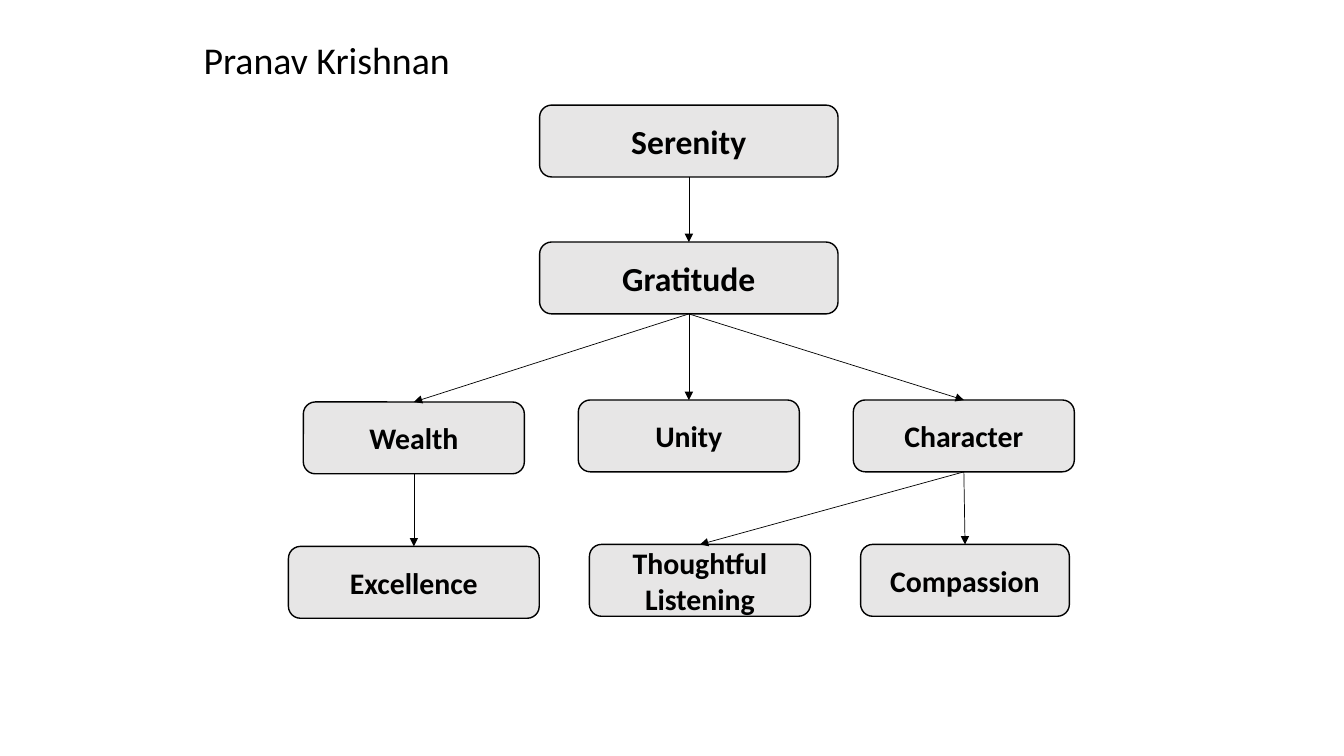
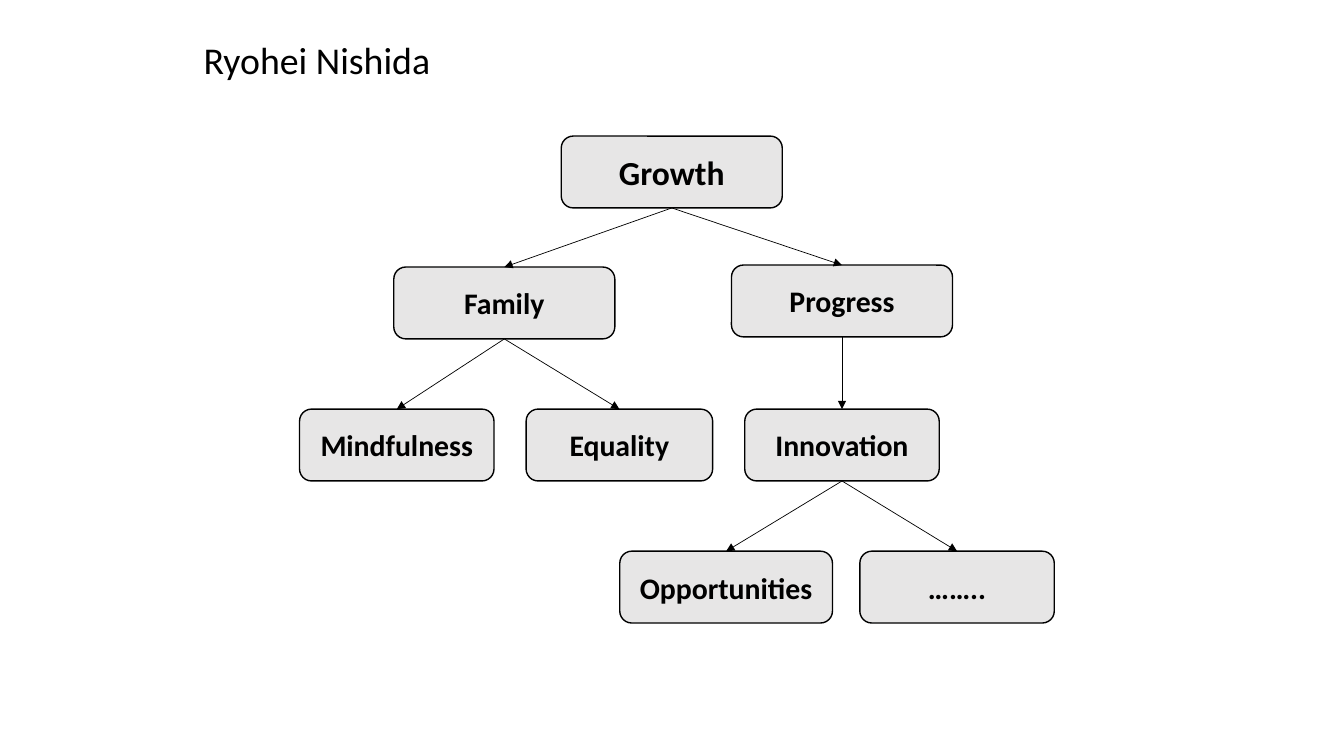
from dataclasses import dataclass

import pptx
import pptx.dml.color
import pptx.enum.shapes
import pptx.enum.text
import pptx.oxml
import pptx.oxml.ns
import pptx.util

Cm = pptx.util.Cm
Pt = pptx.util.Pt

BLACK = pptx.dml.color.RGBColor(0x00, 0x00, 0x00)
GREY = pptx.dml.color.RGBColor(0xE7, 0xE6, 0xE6)
FONT = "Calibri"

TITLE_SIZE = 27
MAIN_SIZE = 24
VALUE_SIZE = 21.3

BOX_HEIGHT = 1.81
BOX_WIDTH = 5.57
MAIN_WIDTH = 7.52
TOP_SITE, BOTTOM_SITE = 0, 2


@dataclass
class Value:
    """A box in a value tree; lengths in centimetres."""
    text: str
    center: float
    top: float
    width: float = BOX_WIDTH
    size: float = VALUE_SIZE
    parent: str = ""


PRANAV_VALUES = [
    Value("Serenity", 17.36, 2.65, MAIN_WIDTH, MAIN_SIZE),
    Value("Gratitude", 17.36, 6.10, MAIN_WIDTH, MAIN_SIZE, "Serenity"),
    Value("Wealth", 10.43, 10.13, parent="Gratitude"),
    Value("Unity", 17.36, 10.08, parent="Gratitude"),
    Value("Character", 24.29, 10.08, parent="Gratitude"),
    Value("Excellence", 10.43, 13.77, 6.32, parent="Wealth"),
    Value("Thoughtful Listening", 17.64, 13.72, parent="Character"),
    Value("Compassion", 24.32, 13.72, 5.26, parent="Character"),
]

RYOHEI_VALUES = [
    Value("Growth", 16.93, 3.43, size=MAIN_SIZE),
    Value("Family", 12.71, 6.73, parent="Growth"),
    Value("Progress", 21.22, 6.68, parent="Growth"),
    Value("Mindfulness", 10.0, 10.31, 4.9, parent="Family"),
    Value("Equality", 15.61, 10.31, 4.7, parent="Family"),
    Value("Innovation", 21.22, 10.31, 4.9, parent="Progress"),
    Value("Opportunities", 18.3, 13.89, 5.36, parent="Innovation"),
    Value("……..", 24.12, 13.89, 4.9, parent="Innovation"),
]


def write_text(shape, text, size, bold=False,
               alignment=pptx.enum.text.PP_ALIGN.LEFT):
    frame = shape.text_frame
    frame.word_wrap = True
    frame.vertical_anchor = pptx.enum.text.MSO_ANCHOR.MIDDLE
    paragraph = frame.paragraphs[0]
    paragraph.alignment = alignment
    run = paragraph.add_run()
    run.text = text
    run.font.name = FONT
    run.font.size = Pt(size)
    run.font.bold = bold
    run.font.color.rgb = BLACK


def add_title(slide, text):
    box = slide.shapes.add_textbox(Cm(4.88), Cm(0.81), Cm(19.96), Cm(1.35))
    write_text(box, text, TITLE_SIZE)


def add_value_box(slide, value):
    shape = slide.shapes.add_shape(
        pptx.enum.shapes.MSO_SHAPE.ROUNDED_RECTANGLE,
        Cm(value.center - value.width / 2), Cm(value.top),
        Cm(value.width), Cm(BOX_HEIGHT))
    shape.shadow.inherit = False
    shape.fill.solid()
    shape.fill.fore_color.rgb = GREY
    shape.line.color.rgb = BLACK
    shape.line.width = Pt(1)
    write_text(shape, value.text, value.size, True,
               pptx.enum.text.PP_ALIGN.CENTER)
    return shape


def add_arrow(slide, parent_box, child_box):
    """Join the bottom of one box to the top of another."""
    arrow = slide.shapes.add_connector(
        pptx.enum.shapes.MSO_CONNECTOR.STRAIGHT, 0, 0, 0, 0)
    arrow.begin_connect(parent_box, BOTTOM_SITE)
    arrow.end_connect(child_box, TOP_SITE)
    arrow.line.color.rgb = BLACK
    arrow.line.width = Pt(0.5)
    tail = pptx.oxml.parse_xml(
        f'<a:tailEnd {pptx.oxml.ns.nsdecls("a")} type="triangle"/>')
    arrow.line._get_or_add_ln().append(tail)
    arrow._element.spPr.append(pptx.oxml.parse_xml(
        f'<a:effectLst {pptx.oxml.ns.nsdecls("a")}/>'))


def add_tree_slide(presentation, title, values):
    slide = presentation.slides.add_slide(presentation.slide_layouts[6])
    add_title(slide, title)
    boxes = {value.text: add_value_box(slide, value) for value in values}
    for value in values:
        if value.parent:
            add_arrow(slide, boxes[value.parent], boxes[value.text])


def main():
    presentation = pptx.Presentation()
    presentation.slide_width = Cm(33.87)
    presentation.slide_height = Cm(19.05)
    add_tree_slide(presentation, "Pranav Krishnan", PRANAV_VALUES)
    add_tree_slide(presentation, "Ryohei Nishida", RYOHEI_VALUES)
    presentation.save("out.pptx")


if __name__ == "__main__":
    main()
